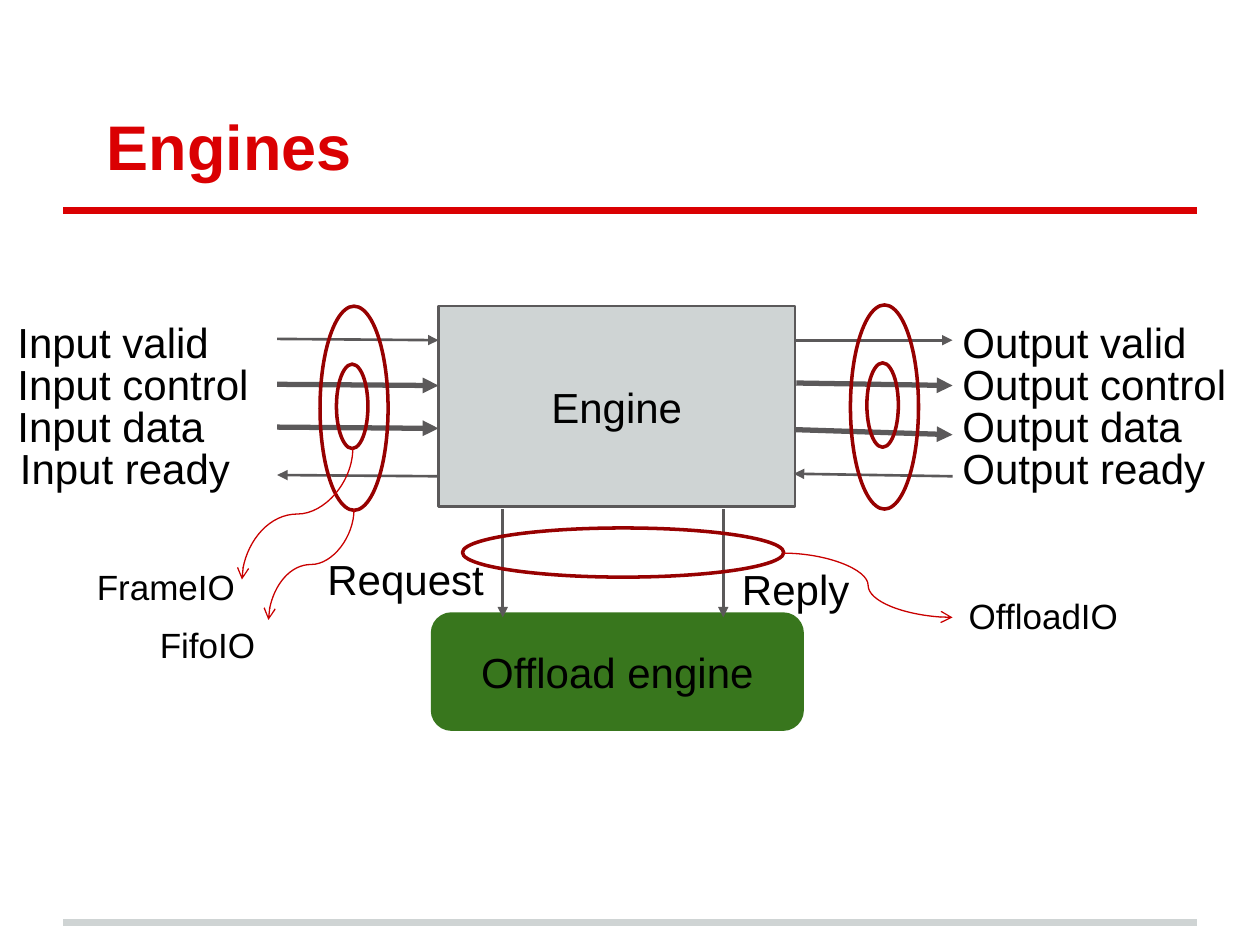
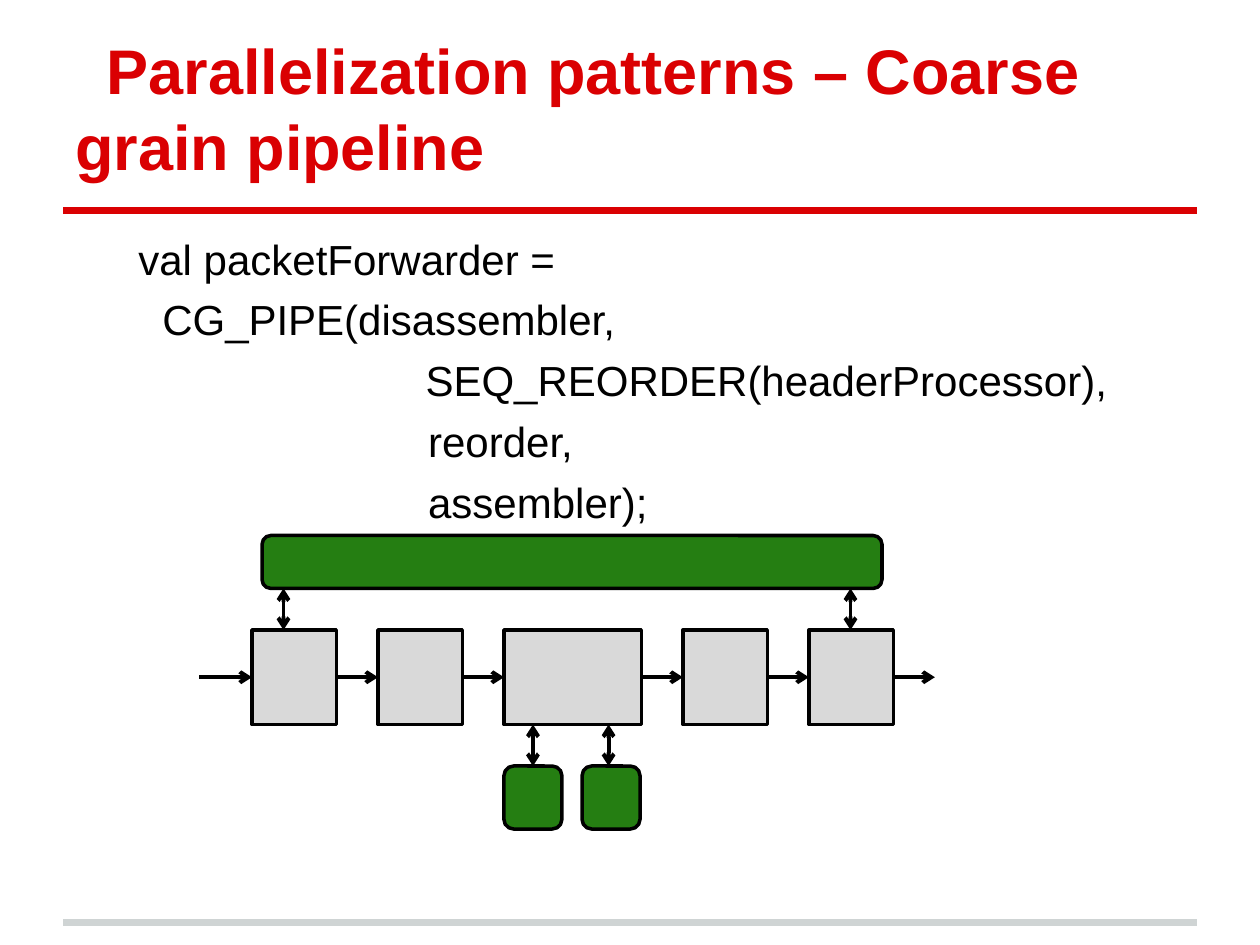
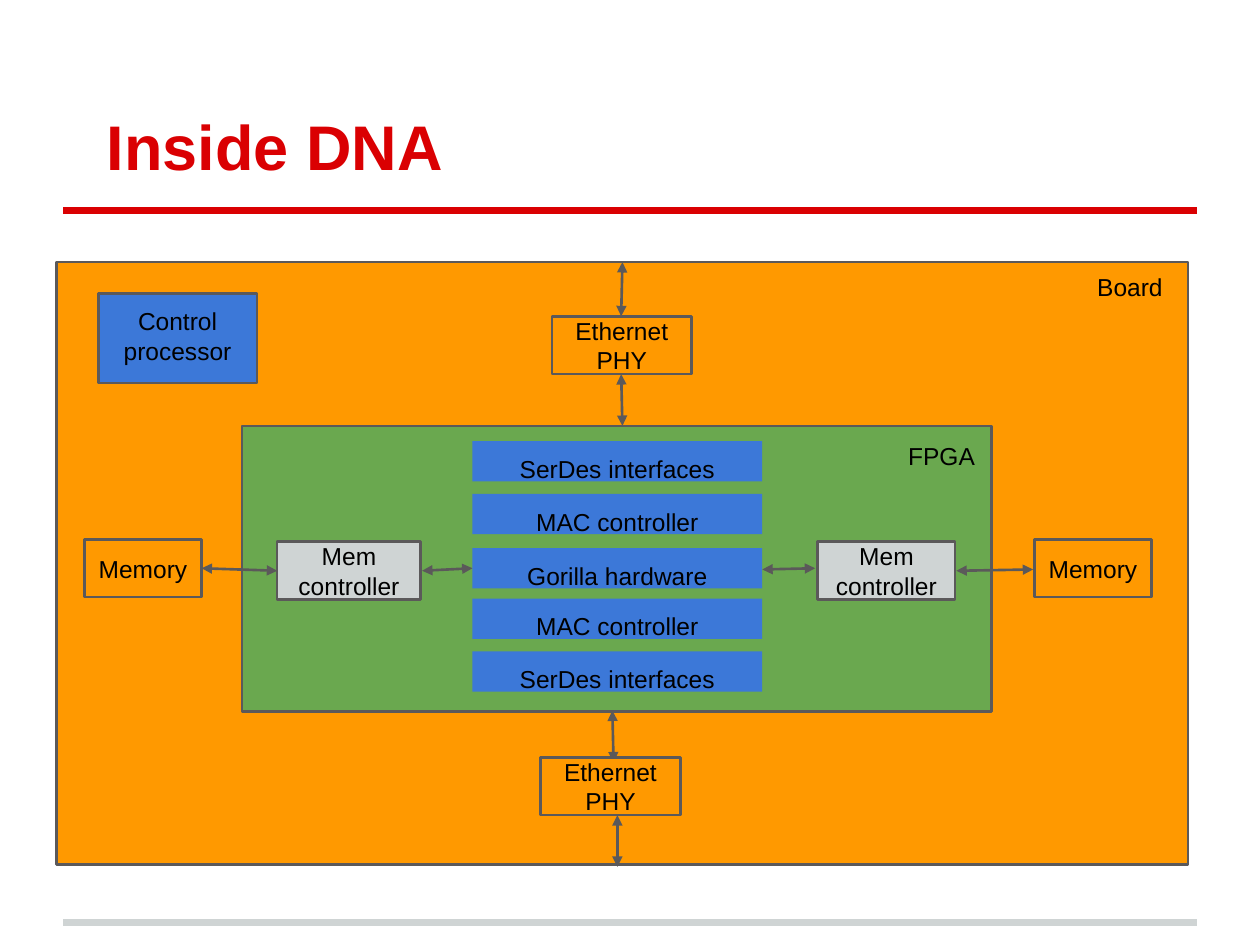
from dataclasses import dataclass

from lxml.etree import SubElement
from pptx import Presentation
from pptx.dml.color import RGBColor
from pptx.enum.shapes import MSO_CONNECTOR, MSO_SHAPE
from pptx.enum.text import MSO_ANCHOR, PP_ALIGN
from pptx.oxml.ns import qn
from pptx.shapes.connector import Connector
from pptx.slide import Slide
from pptx.text.text import TextFrame
from pptx.util import Inches, Pt

FONT = "Arial"
COLORS = {
    "title": "DA0002",
    "silver": "CFD4D4",
    "outline": "5B595A",
    "black": "000000",
    "offload": "38761D",
    "ring": "970101",
    "callout": "C90000",
    "stage": "D9D9D9",
    "engine": "257E12",
    "board": "FF9900",
    "fpga": "6AA84F",
    "blue": "3C78D8",
}


@dataclass(frozen=True)
class Label:
    text: str
    left: float
    top: float
    width: float
    height: float
    size: float
    vertical_inset: float = 0.1


@dataclass(frozen=True)
class Block:
    left: float
    top: float
    width: float
    height: float
    fill: str | None = None
    line: str | None = "outline"
    line_width: float = 1.5
    kind: MSO_SHAPE = MSO_SHAPE.RECTANGLE
    text: str = ""
    size: float = 14
    anchor: MSO_ANCHOR = MSO_ANCHOR.MIDDLE


@dataclass(frozen=True)
class Line:
    start: tuple[float, float]
    end: tuple[float, float]
    color: str = "outline"
    width: float = 1.5
    head: str | None = None
    tail: str | None = None


def rgb(name: str) -> RGBColor:
    return RGBColor.from_string(COLORS[name])


def prepare_frame(frame: TextFrame, anchor: MSO_ANCHOR, vertical_inset: float = 0.1) -> None:
    frame.word_wrap = True
    frame.vertical_anchor = anchor
    frame.margin_left = frame.margin_right = Inches(0.1)
    frame.margin_top = frame.margin_bottom = Inches(vertical_inset)


def style_paragraph(paragraph, size: float, color: str = "black", bold: bool = False) -> None:
    paragraph.font.name = FONT
    paragraph.font.size = Pt(size)
    paragraph.font.bold = bold
    paragraph.font.color.rgb = rgb(color)


def indent_paragraph(paragraph, margin: float, first_line: float = 0) -> None:
    properties = paragraph._p.get_or_add_pPr()
    properties.set("marL", str(Inches(margin)))
    properties.set("indent", str(Inches(first_line)))


def add_label(slide: Slide, label: Label) -> None:
    box = slide.shapes.add_textbox(
        Inches(label.left), Inches(label.top), Inches(label.width), Inches(label.height)
    )
    prepare_frame(box.text_frame, MSO_ANCHOR.TOP, label.vertical_inset)
    paragraph = box.text_frame.paragraphs[0]
    paragraph.text = label.text
    style_paragraph(paragraph, label.size)


def add_block(slide: Slide, block: Block) -> None:
    shape = slide.shapes.add_shape(
        block.kind, Inches(block.left), Inches(block.top), Inches(block.width), Inches(block.height)
    )
    shape.shadow.inherit = False
    if block.fill:
        shape.fill.solid()
        shape.fill.fore_color.rgb = rgb(block.fill)
    else:
        shape.fill.background()
    if block.line:
        shape.line.color.rgb = rgb(block.line)
        shape.line.width = Pt(block.line_width)
    else:
        shape.line.fill.background()
    if block.text:
        prepare_frame(shape.text_frame, block.anchor)
        paragraph = shape.text_frame.paragraphs[0]
        paragraph.text = block.text
        paragraph.alignment = PP_ALIGN.CENTER
        style_paragraph(paragraph, block.size)


def add_line(slide: Slide, line: Line, kind: MSO_CONNECTOR = MSO_CONNECTOR.STRAIGHT) -> Connector:
    connector = slide.shapes.add_connector(
        kind, *(Inches(value) for value in (*line.start, *line.end))
    )
    connector.line.color.rgb = rgb(line.color)
    connector.line.width = Pt(line.width)
    outline = connector.line._get_or_add_ln()
    for tag, arrowhead in (("a:headEnd", line.head), ("a:tailEnd", line.tail)):
        if arrowhead:
            SubElement(outline, qn(tag), type=arrowhead)
    SubElement(connector._element.spPr, qn("a:effectLst"))
    return connector


def add_falling_curve(slide: Slide, line: Line) -> None:
    (start_x, start_y), (end_x, end_y) = line.start, line.end
    center_x, center_y = (start_x + end_x) / 2, (start_y + end_y) / 2
    half_length, half_depth = (end_y - start_y) / 2, (start_x - end_x) / 2
    upright = Line(
        (center_x - half_length, center_y - half_depth),
        (center_x + half_length, center_y + half_depth),
        line.color, line.width, line.head, line.tail,
    )
    connector = add_line(slide, upright, MSO_CONNECTOR.CURVE)
    connector._element.spPr.get_or_add_xfrm().set("rot", str(90 * 60000))


def add_titled_slide(presentation, title: str) -> Slide:
    slide = presentation.slides.add_slide(presentation.slide_layouts[6])
    for height, color in ((7.32, "silver"), (1.67, "title")):
        add_line(slide, Line((0.5, height), (9.5, height), color, 4))
    box = slide.shapes.add_textbox(Inches(0.5), Inches(0.3), Inches(9), Inches(1.25))
    prepare_frame(box.text_frame, MSO_ANCHOR.BOTTOM)
    paragraph = box.text_frame.paragraphs[0]
    paragraph.text = title
    indent_paragraph(paragraph, 0, 0.25)
    style_paragraph(paragraph, 36, "title", True)
    return slide


def build_engines(presentation) -> None:
    slide = add_titled_slide(presentation, "Engines")
    add_block(slide, Block(3.48, 2.43, 2.83, 1.59, "silver", text="Engine", size=24))
    add_block(slide, Block(3.43, 4.87, 2.94, 0.92, "offload", "offload",
                           kind=MSO_SHAPE.ROUNDED_RECTANGLE, text="Offload engine", size=24))

    signals = (
        Line((2.2, 2.69), (3.48, 2.7)),
        Line((2.2, 3.05), (3.48, 3.06), width=3),
        Line((2.2, 3.39), (3.48, 3.4), width=3),
        Line((3.48, 3.78), (2.2, 3.77)),
        Line((6.32, 2.7), (7.56, 2.7)),
        Line((6.32, 3.04), (7.56, 3.06), width=3),
        Line((6.31, 3.41), (7.56, 3.45), width=3),
        Line((7.56, 3.78), (6.3, 3.76)),
        Line((3.99, 4.04), (3.99, 4.9)),
        Line((5.74, 4.04), (5.74, 4.9)),
    )
    for signal in signals:
        add_line(slide, Line(signal.start, signal.end, width=signal.width, tail="triangle"))

    for row, name in enumerate(("valid", "control", "data", "ready")):
        top = 2.41 + row / 3
        input_left = 0.06 if name == "ready" else 0.04
        add_label(slide, Label(f"Input {name}", input_left, top, 2.4, 0.63, 24))
        add_label(slide, Label(f"Output {name}", 7.54, top, 2.4, 0.63, 24))
    add_label(slide, Label("Request", 2.5, 4.29, 1.95, 0.63, 24))
    add_label(slide, Label("Reply", 5.79, 4.37, 1.95, 0.63, 24))

    rings = (
        (2.67, 2.89, 0.25, 0.67),
        (2.54, 2.43, 0.54, 1.62),
        (6.88, 2.88, 0.25, 0.67),
        (6.75, 2.42, 0.54, 1.62),
        (3.67, 4.19, 2.55, 0.39),
    )
    for ring in rings:
        add_block(slide, Block(*ring, line="ring", line_width=2, kind=MSO_SHAPE.OVAL))

    for start, end in (((2.8, 3.56), (1.92, 4.6)), ((2.81, 4.04), (2.13, 4.92))):
        add_falling_curve(slide, Line(start, end, "callout", 0.75, tail="arrow"))
    add_line(slide, Line((6.22, 4.39), (7.56, 4.9), "callout", 0.75, tail="arrow"),
             MSO_CONNECTOR.CURVE)
    for text, left, top, width in (
        ("FrameIO", 0.67, 4.44, 1.53),
        ("FifoIO", 1.17, 4.9, 1.33),
        ("OffloadIO", 7.59, 4.67, 1.66),
    ):
        add_label(slide, Label(text, left, top, width, 0.44, 20, 0.05))


def build_pipeline(presentation) -> None:
    slide = add_titled_slide(presentation, "Parallelization patterns – Coarse grain pipeline")
    code = slide.shapes.add_textbox(Inches(0.5), Inches(1.75), Inches(9), Inches(2.5))
    prepare_frame(code.text_frame, MSO_ANCHOR.TOP)
    code_lines = (
        ("val packetForwarder =", 0.5),
        ("CG_PIPE(disassembler,", 0.69),
        ("SEQ_REORDER(headerProcessor),", 2.78),
        ("reorder,", 2.8),
        ("assembler);", 2.8),
    )
    for index, (text, margin) in enumerate(code_lines):
        paragraph = code.text_frame.add_paragraph() if index else code.text_frame.paragraphs[0]
        paragraph.text = text
        indent_paragraph(paragraph, margin)
        if index:
            paragraph.space_before = Pt(6)
        style_paragraph(paragraph, 24)

    stage_top, stage_height, gap = 5, 0.75, 0.33
    middle = stage_top + stage_height / 2
    flows = [Line((1.58, middle), (2, middle), "black", 2.25, tail="arrow")]
    left = 2
    for width in (0.67, 0.67, 1.09, 0.67, 0.67):
        add_block(slide, Block(left, stage_top, width, stage_height, "stage", "black", 2))
        right = left + width
        left = right + gap
        flows.append(Line((right, middle), (left, middle), "black", 2.25, tail="arrow"))

    for engine in ((2.08, 4.25, 4.92, 0.42), (4, 6.08, 0.46, 0.5), (4.62, 6.08, 0.46, 0.5)):
        add_block(slide, Block(*engine, "engine", "black", 2, MSO_SHAPE.ROUNDED_RECTANGLE))

    for x, bottom in ((4.23, 6.08), (4.83, 6.08), (6.75, 5), (2.25, 5)):
        add_line(slide, Line((x, bottom), (x, bottom - gap), "black", 2.25, "arrow", "arrow"))
    for flow in flows:
        add_line(slide, flow)


def build_inside(presentation) -> None:
    slide = add_titled_slide(presentation, "Inside DNA")
    add_block(slide, Block(0.45, 2.08, 8.98, 4.78, "board"))
    add_block(slide, Block(1.92, 3.38, 5.95, 2.27, "fpga"))

    links = (
        ((4.94, 2.08), (4.93, 2.51)),
        ((4.93, 2.97), (4.94, 3.38)),
        ((4.86, 5.64), (4.87, 6.05)),
        ((4.9, 6.47), (4.9, 6.88)),
        ((1.6, 4.51), (2.2, 4.53)),
        ((3.35, 4.53), (3.75, 4.51)),
        ((6.05, 4.52), (6.47, 4.51)),
        ((7.59, 4.53), (8.2, 4.52)),
    )
    for start, end in links:
        add_line(slide, Line(start, end, head="triangle", tail="triangle"))

    layers = (
        ("SerDes interfaces", 3.5),
        ("MAC controller", 3.92),
        ("Gorilla hardware", 4.35),
        ("MAC controller", 4.75),
        ("SerDes interfaces", 5.17),
    )
    for text, top in layers:
        add_block(slide, Block(3.75, top, 2.3, 0.32, "blue", None, text=text,
                               anchor=MSO_ANCHOR.TOP))

    components = (
        ("Mem controller", 2.2, 4.3, 1.14, "silver"),
        ("Mem controller", 6.49, 4.3, 1.09, "silver"),
        ("Ethernet PHY", 4.38, 2.51, 1.11, "board"),
        ("Ethernet PHY", 4.29, 6.01, 1.11, "board"),
        ("Memory", 8.21, 4.28, 0.93, "board"),
        ("Memory", 0.67, 4.28, 0.93, "board"),
    )
    for text, left, top, width, fill in components:
        add_block(slide, Block(left, top, width, 0.46, fill, text=text))
    add_block(slide, Block(0.78, 2.33, 1.26, 0.71, "blue", text="Control processor",
                           anchor=MSO_ANCHOR.TOP))

    add_label(slide, Label("Board", 8.61, 2.06, 0.83, 0.32, 14))
    add_label(slide, Label("FPGA", 7.11, 3.4, 0.83, 0.32, 14))


def main() -> None:
    presentation = Presentation()
    presentation.slide_width = Inches(10)
    presentation.slide_height = Inches(7.5)
    build_engines(presentation)
    build_pipeline(presentation)
    build_inside(presentation)
    presentation.save("out.pptx")


if __name__ == "__main__":
    main()
